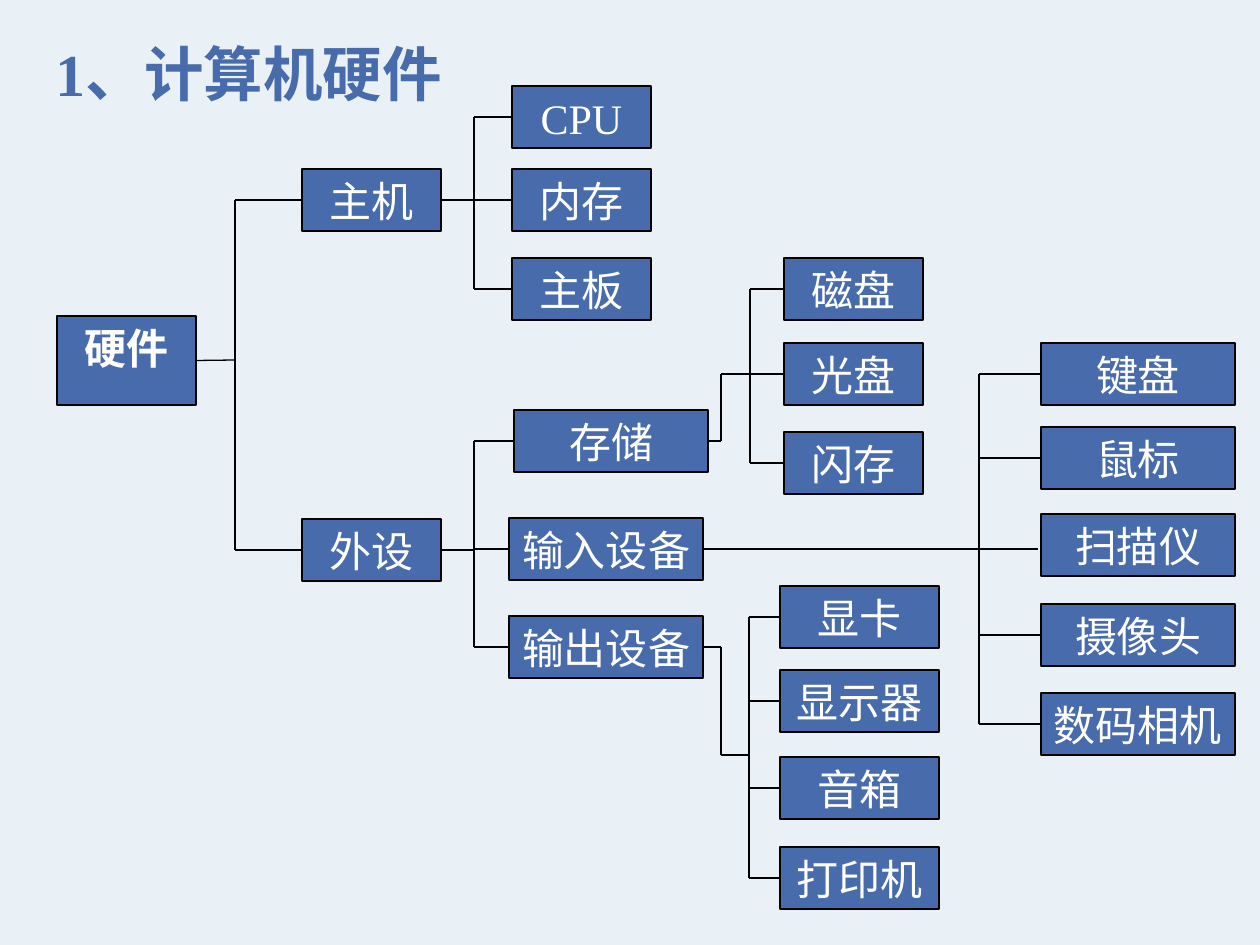
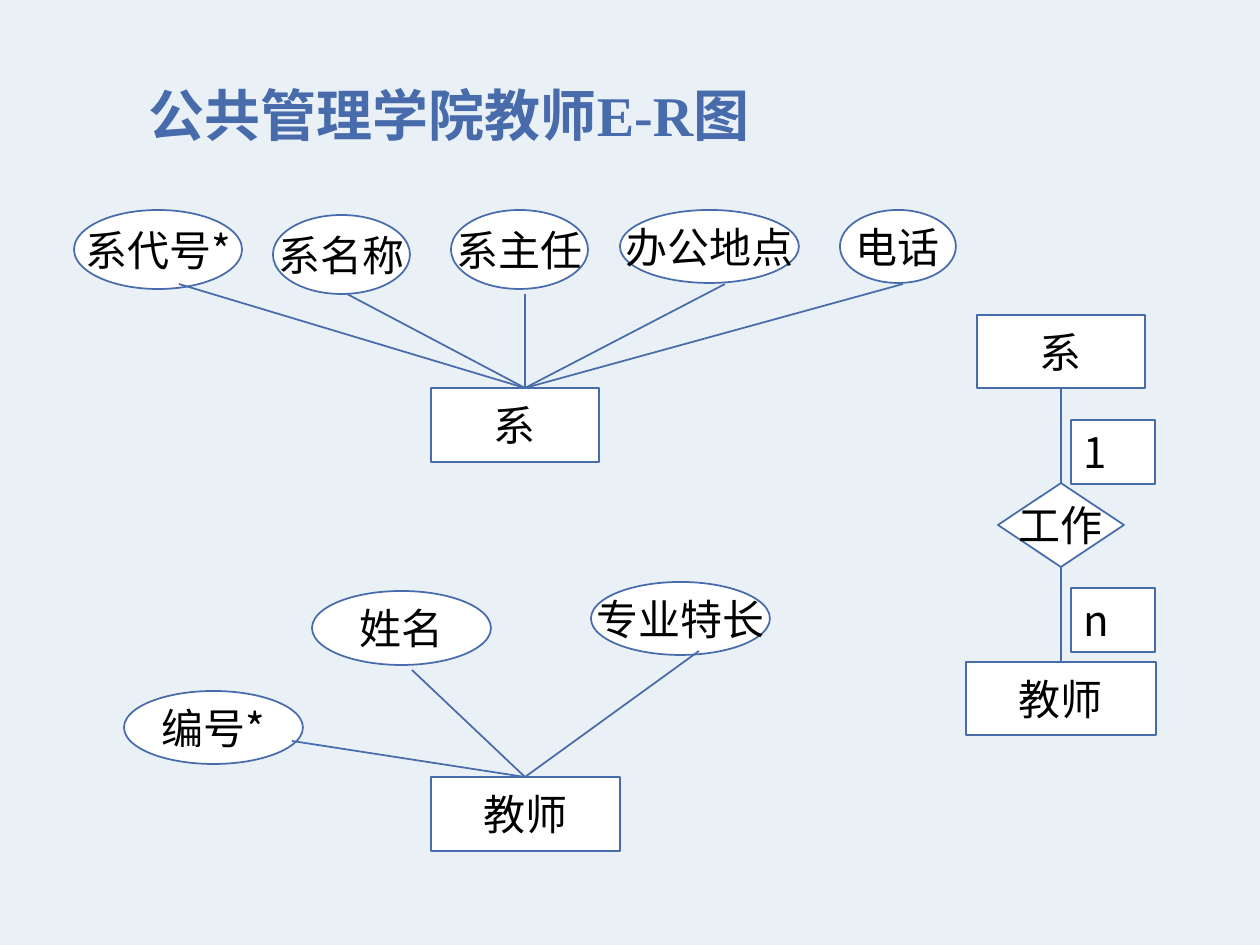
from dataclasses import dataclass

from lxml import etree
from pptx import Presentation
from pptx.dml.color import RGBColor
from pptx.enum.shapes import MSO_CONNECTOR, MSO_SHAPE
from pptx.enum.text import MSO_ANCHOR, PP_ALIGN
from pptx.oxml.ns import qn
from pptx.util import Emu, Pt

RECT, OVAL, DIAMOND = MSO_SHAPE.RECTANGLE, MSO_SHAPE.OVAL, MSO_SHAPE.FLOWCHART_DECISION
STRAIGHT = MSO_CONNECTOR.STRAIGHT
LEFT, CENTER = PP_ALIGN.LEFT, PP_ALIGN.CENTER
TOP, MIDDLE, BOTTOM = MSO_ANCHOR.TOP, MSO_ANCHOR.MIDDLE, MSO_ANCHOR.BOTTOM
SITE_TOP, SITE_LEFT, SITE_BOTTOM, SITE_RIGHT = range(4)
PX = 914400 / 126


@dataclass(frozen=True)
class Theme:
    bg: str = "EAF1F6"
    blue: str = "476BAB"
    white: str = "FFFFFF"
    black: str = "000000"
    serif: str = "Times New Roman"
    sans: str = "Noto Sans CJK SC"
    body: int = 24
    tree_line: float = 0.75
    er_line: float = 1


THEME = Theme()

# Hardware tree: (left, width, {name: top}) for each column
TREE_TITLE = ("1、计算机硬件", (43, 31, 413, 84), 34, TOP)
ROOT = ("硬件", (57, 316, 139, 89))
NODE_H = 62
COLUMNS = [
    (302, 139, {"主机": 169, "外设": 519}),
    (512, 139, {"CPU": 86, "内存": 169, "主板": 258}),
    (514, 194, {"存储": 410}),
    (509, 194, {"输入设备": 518, "输出设备": 616}),
    (784, 139, {"磁盘": 258, "光盘": 343, "闪存": 432}),
    (1041, 194, {"键盘": 343, "鼠标": 427, "扫描仪": 514, "摄像头": 604, "数码相机": 693}),
    (780, 159, {"显卡": 586, "显示器": 670, "音箱": 757, "打印机": 847}),
]
# (parent, trunk x, children, bend point of the stem, x where the stem ends)
BRANCHES = [
    ("硬件", 235, ["主机", "外设"], None, 235),
    ("主机", 474, ["CPU", "内存", "主板"], None, 474),
    ("外设", 474, ["存储", "输入设备", "输出设备"], None, 474),
    ("存储", 750, ["磁盘", "光盘", "闪存"], (721, 374), 750),
    ("输入设备", 979, ["键盘", "鼠标", "摄像头", "数码相机"], None, 1038),
    ("输出设备", 749, ["显卡", "显示器", "音箱", "打印机"], (721, 755), 749),
]

# E-R diagram: (entity, box, hub, [(attribute, box, line start)])
ER_TITLE = ("公共管理学院教师E-R图", (136, 73, 820, 81), 32, BOTTOM)
ENTITIES = [
    ("系", (431, 388, 168, 74), (525, 388), [
        ("系代号*", (74, 210, 168, 79), (179, 284)),
        ("系名称", (273, 215, 137, 79), (347, 294)),
        ("系主任", (451, 210, 137, 79), (525, 294)),
        ("办公地点", (620, 210, 179, 73), (725, 284)),
        ("电话", (840, 210, 116, 73), (903, 284)),
    ]),
    ("教师", (431, 777, 189, 74), (525, 777), [
        ("编号*", (124, 691, 179, 73), (292, 741)),
        ("姓名", (312, 591, 179, 74), (412, 670)),
        ("专业特长", (591, 582, 179, 73), (699, 651)),
    ]),
]
RELATION = [
    ("系", RECT, (977, 315, 168, 73)),
    ("工作", DIAMOND, (998, 483, 126, 84)),
    ("教师", RECT, (966, 662, 190, 73)),
]
CARDINALITIES = [("1", (1071, 420, 84, 64)), ("n", (1071, 588, 84, 64))]


def px(*values):
    return [Emu(round(v * PX)) for v in values]


def rgb(color):
    return RGBColor.from_string(color)


def write(s, text, size, font, color, bold=False, align=LEFT, anchor=TOP, wrap=False):
    tf = s.text_frame
    tf.word_wrap = wrap
    tf.vertical_anchor = anchor
    p = tf.paragraphs[0]
    p.alignment = align
    r = p.add_run()
    r.text = text
    r.font.size = Pt(size)
    r.font.bold = bold
    r.font.color.rgb = rgb(color)
    r.font.name = font
    east_asian = etree.SubElement(r._r.get_or_add_rPr(), qn("a:ea"))
    east_asian.set("typeface", THEME.sans)


def add_box(slide, kind, box, fill, line, width):
    s = slide.shapes.add_shape(kind, *px(*box))
    s.shadow.inherit = False
    s.fill.solid()
    s.fill.fore_color.rgb = rgb(fill)
    s.line.color.rgb = rgb(line)
    s.line.width = Pt(width)
    return s


def add_line(slide, start, end, color, width):
    line = slide.shapes.add_connector(STRAIGHT, *px(*start, *end))
    line.line.color.rgb = rgb(color)
    line.line.width = Pt(width)
    etree.SubElement(line._element.spPr, qn("a:effectLst"))
    return line


def tree_node(slide, text, box, bold=False):
    s = add_box(slide, RECT, box, THEME.blue, THEME.black, THEME.tree_line)
    write(s, text, THEME.body, THEME.serif, THEME.white, bold, CENTER)
    return s


def tree_line(slide, start, end):
    return add_line(slide, start, end, THEME.black, THEME.tree_line)


def er_shape(slide, text, kind, box, **style):
    s = add_box(slide, kind, box, THEME.white, THEME.blue, THEME.er_line)
    write(s, text, THEME.body, THEME.sans, THEME.black, **style)
    return s


def er_line(slide, start, end):
    return add_line(slide, start, end, THEME.blue, THEME.er_line)


def new_slide(prs, title):
    slide = prs.slides.add_slide(prs.slide_layouts[6])
    slide.background.fill.solid()
    slide.background.fill.fore_color.rgb = rgb(THEME.bg)
    text, box, size, anchor = title
    s = slide.shapes.add_textbox(*px(*box))
    write(s, text, size, THEME.serif, THEME.blue, True, anchor=anchor, wrap=True)
    return slide


def draw_branch(slide, nodes, parent, trunk_x, children, bend, stem_end):
    """Draw the stem from the parent, the upright trunk and a twig to each child."""
    s, (x, y, w, h) = nodes[parent]
    mid = y + h // 2
    stem = [(x + w, mid)]
    if bend:
        stem += [(bend[0], mid), bend]
    stem.append((stem_end, stem[-1][1]))
    for i, (start, end) in enumerate(zip(stem, stem[1:])):
        line = tree_line(slide, start, end)
        if i == 0:
            line.begin_connect(s, SITE_RIGHT)

    mids = [nodes[c][1][1] + nodes[c][1][3] // 2 for c in children]
    tree_line(slide, (trunk_x, mids[0]), (trunk_x, mids[-1]))
    for child, child_mid in zip(children, mids):
        s, box = nodes[child]
        twig = tree_line(slide, (trunk_x, child_mid), (box[0], child_mid))
        twig.end_connect(s, SITE_LEFT)


def hardware_slide(prs):
    slide = new_slide(prs, TREE_TITLE)
    name, box = ROOT
    nodes = {name: (tree_node(slide, name, box, bold=True), box)}
    for left, width, tops in COLUMNS:
        for name, top in tops.items():
            box = (left, top, width, NODE_H)
            nodes[name] = (tree_node(slide, name, box), box)
    for branch in BRANCHES:
        draw_branch(slide, nodes, *branch)


def er_slide(prs):
    slide = new_slide(prs, ER_TITLE)
    centred = {"align": CENTER, "anchor": MIDDLE}
    for entity, box, hub, attributes in ENTITIES:
        er_shape(slide, entity, RECT, box, **centred)
        for name, oval, start in attributes:
            er_shape(slide, name, OVAL, oval, **centred)
            er_line(slide, start, hub)

    chain = [er_shape(slide, *part, **centred) for part in RELATION]
    for upper, lower in zip(chain, chain[1:]):
        line = er_line(slide, (0, 0), (0, 0))
        line.begin_connect(upper, SITE_BOTTOM)
        line.end_connect(lower, SITE_TOP)
    for text, box in CARDINALITIES:
        er_shape(slide, text, RECT, box, wrap=True)


def main():
    prs = Presentation()
    prs.slide_width, prs.slide_height = px(1260, 945)
    hardware_slide(prs)
    er_slide(prs)
    prs.save("out.pptx")


if __name__ == "__main__":
    main()
